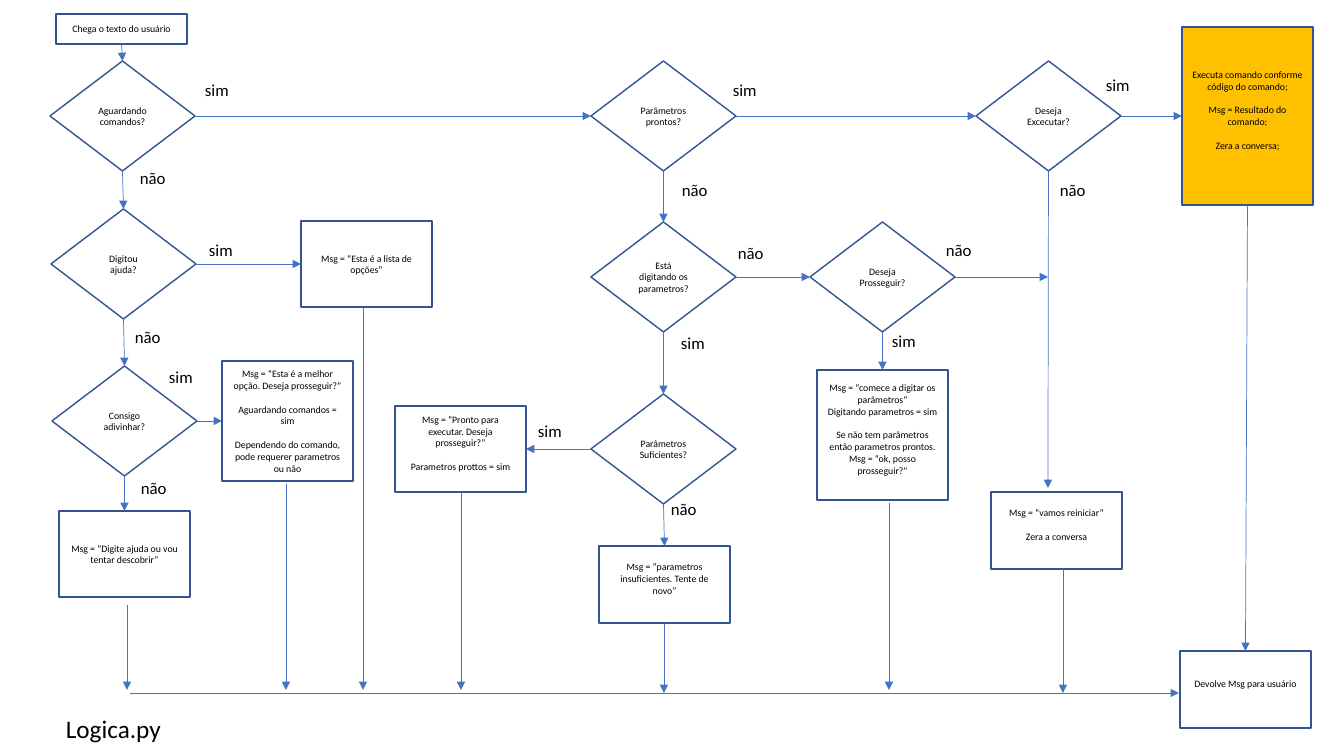
import dataclasses
import typing

import lxml.etree
import pptx
import pptx.dml.color
import pptx.enum.shapes
import pptx.enum.text
import pptx.oxml.ns
import pptx.util

SCALE = 914400 / 100.8
COLORS = {"border": "325491", "arrow": "4472C4", "text": "000000", "action": "FFC000"}
FONT = "Calibri"
SMALL = 7
LINE = 8.5  # points taken by one line of small text
SITES = {"top": 0, "left": 1, "bottom": 2, "right": 3}
DIAMOND = pptx.enum.shapes.MSO_SHAPE.DIAMOND
RECT = pptx.enum.shapes.MSO_SHAPE.RECTANGLE


@dataclasses.dataclass
class Node:
    """A decision or message; lift is the free space below its text, in lines."""
    x: int
    y: int
    text: str
    w: int = 131
    h: int = 86
    kind: int = RECT
    lift: int = 0
    fill: str = ""


@dataclasses.dataclass
class Label:
    """A free text; its size is in points."""
    x: int
    y: int
    text: str
    w: int = 50
    h: int = 30
    size: int = 12


End = typing.Tuple[typing.Union[str, int], typing.Union[str, int]]


def decision(x: int, y: int, text: str) -> Node:
    """Return a diamond of the common size."""
    return Node(x, y, text, 145, 110, DIAMOND)


NODES = {
    "start": Node(56, 14, "Chega o texto do usuário", h=30),
    "waiting": decision(50, 61, "Aguardando comandos?"),
    "help": decision(51, 209, "Digitou ajuda?"),
    "guess": decision(52, 366, "Consigo adivinhar?"),
    "ready": decision(591, 61, "Parâmetros prontos?"),
    "typing": decision(591, 222, "Está digitando os parametros?"),
    "enough": decision(591, 394, "Parâmetros Suficientes?"),
    "proceed": decision(810, 222, "Deseja Prosseguir?"),
    "execute": decision(976, 61, "Deseja Excecutar?"),
    "options": Node(301, 221, "Msg = “Esta é a lista de opções”"),
    "best": Node(222, 361, "Msg = “Esta é a melhor opção. Deseja prosseguir?”\n\n"
                 "Aguardando comandos = sim\n\n"
                 "Dependendo do comando, pode requerer parametros ou não", h=120),
    "hint": Node(59, 511, "Msg = “Digite ajuda ou vou tentar descobrir”"),
    "runnable": Node(395, 406, "Msg = “Pronto para executar. Deseja prosseguir?”\n\n"
                     "Parametros prottos = sim", lift=1),
    "missing": Node(599, 546, "Msg = “parametros insuficientes. Tente de novo”",
                    h=77, lift=1),
    "begin": Node(817, 370, "Msg = “comece a digitar os parâmetros”\n"
                  "Digitando parametros = sim\n\n"
                  "Se não tem parâmetros então parametros prontos.\n"
                  "Msg = “ok, posso prosseguir?\"", h=130, lift=1),
    "restart": Node(991, 492, "Msg = “vamos reiniciar”\n\nZera a conversa", h=77, lift=1),
    "run": Node(1182, 27, "Executa comando conforme código do comando;\n\n"
                "Msg = Resultado do comando;\n\nZera a conversa;",
                h=178, lift=1, fill="action"),
    "reply": Node(1180, 651, "Devolve Msg para usuário", h=77, lift=1),
}

# Arrows that run from one node to the next, by side
ACROSS = [("waiting", "ready"), ("ready", "execute"), ("execute", "run"),
          ("typing", "proceed"), ("help", "options"), ("guess", "best")]
DOWN = [("start", "waiting"), ("waiting", "help"), ("help", "guess"), ("guess", "hint"),
        ("ready", "typing"), ("typing", "enough"), ("enough", "missing"),
        ("proceed", "begin"), ("run", "reply")]
# Arrows that fall to the return line: x, top, bottom
DROPS = [(127, 605, 690), (286, 484, 690), (363, 307, 690), (461, 492, 690),
         (664, 623, 693), (889, 503, 690), (1063, 569, 693)]

ARROWS: typing.List[typing.Tuple[End, End]] = [
    *(((a, "right"), (b, "left")) for a, b in ACROSS),
    *(((a, "bottom"), (b, "top")) for a, b in DOWN),
    *(((x, top), (x, bottom)) for x, top, bottom in DROPS),
    (("enough", "left"), ("runnable", "right")),
    (("execute", "bottom"), (1048, 488)),
    (("proceed", "right"), (1048, 277)),
    ((130, 693), (1179, 693)),
]

YES = [(195, 75), (199, 235), (159, 362), (528, 416), (723, 75), (671, 328),
       (882, 326), (1096, 70)]
NO = [(130, 163), (125, 322), (131, 473), (672, 175), (728, 238), (661, 494),
      (936, 235), (1050, 175)]
LABELS = [*(Label(x, y, "sim") for x, y in YES),
          *(Label(x, y, "não") for x, y in NO),
          Label(56, 708, "Logica.py", 120, 40, 18)]


def px(n: float) -> int:
    """Turn pixels into EMU."""
    return pptx.util.Emu(round(n * SCALE))


def rgb(name: str) -> pptx.dml.color.RGBColor:
    """Look up a named colour."""
    return pptx.dml.color.RGBColor.from_string(COLORS[name])


def style(p, size: int) -> None:
    """Set the font of a paragraph."""
    p.font.name = FONT
    p.font.size = pptx.util.Pt(size)
    p.font.color.rgb = rgb("text")


def write(tf, text: str) -> None:
    """Fill a node with centred lines; a double break becomes paragraph spacing."""
    p = None
    for block in text.split("\n\n"):
        for i, line in enumerate(block.split("\n")):
            gap = p is not None and i == 0
            p = tf.paragraphs[0] if p is None else tf.add_paragraph()
            p.text = line
            p.alignment = pptx.enum.text.PP_ALIGN.CENTER
            p.space_before = pptx.util.Pt(LINE if gap else 0)
            style(p, SMALL)


def add_node(slide, node: Node):
    """Draw a decision or message and return its shape."""
    sp = slide.shapes.add_shape(node.kind, px(node.x), px(node.y), px(node.w), px(node.h))
    sp.shadow.inherit = False
    if node.fill:
        sp.fill.solid()
        sp.fill.fore_color.rgb = rgb(node.fill)
    else:
        sp.fill.background()
    sp.line.color.rgb = rgb("border")
    sp.line.width = pptx.util.Pt(1)
    tf = sp.text_frame
    tf.word_wrap = True
    tf.vertical_anchor = pptx.enum.text.MSO_ANCHOR.MIDDLE
    tf.margin_bottom = pptx.util.Pt(3.6 + node.lift * LINE)
    write(tf, node.text)
    return sp


def add_arrow(slide, shapes: dict, start: End, end: End) -> None:
    """Draw an arrow; each end is a node with a side, or a point."""
    points = [(0, 0) if e[0] in shapes else (px(e[0]), px(e[1])) for e in (start, end)]
    line = slide.shapes.add_connector(
        pptx.enum.shapes.MSO_CONNECTOR.STRAIGHT, *points[0], *points[1])
    for e, connect in ((start, line.begin_connect), (end, line.end_connect)):
        if e[0] in shapes:
            connect(shapes[e[0]], SITES[e[1]])
    line.line.color.rgb = rgb("arrow")
    line.line.width = pptx.util.Pt(0.5)
    qn = pptx.oxml.ns.qn
    pr = line._element.spPr
    lxml.etree.SubElement(pr.find(qn("a:ln")), qn("a:tailEnd"), type="triangle")
    lxml.etree.SubElement(pr, qn("a:effectLst"))


def add_label(slide, label: Label) -> None:
    """Draw a free text on one line."""
    sp = slide.shapes.add_textbox(px(label.x), px(label.y), px(label.w), px(label.h))
    tf = sp.text_frame
    tf.word_wrap = True
    tf.auto_size = pptx.enum.text.MSO_AUTO_SIZE.SHAPE_TO_FIT_TEXT
    p = tf.paragraphs[0]
    p.text = label.text
    style(p, label.size)


def main() -> None:
    """Build the flowchart slide."""
    prs = pptx.Presentation()
    prs.slide_width, prs.slide_height = px(1344), px(756)
    s = prs.slides.add_slide(prs.slide_layouts[6])
    shapes = {name: add_node(s, node) for name, node in NODES.items()}
    for start, end in ARROWS:
        add_arrow(s, shapes, start, end)
    for label in LABELS:
        add_label(s, label)
    prs.save("out.pptx")


main()
